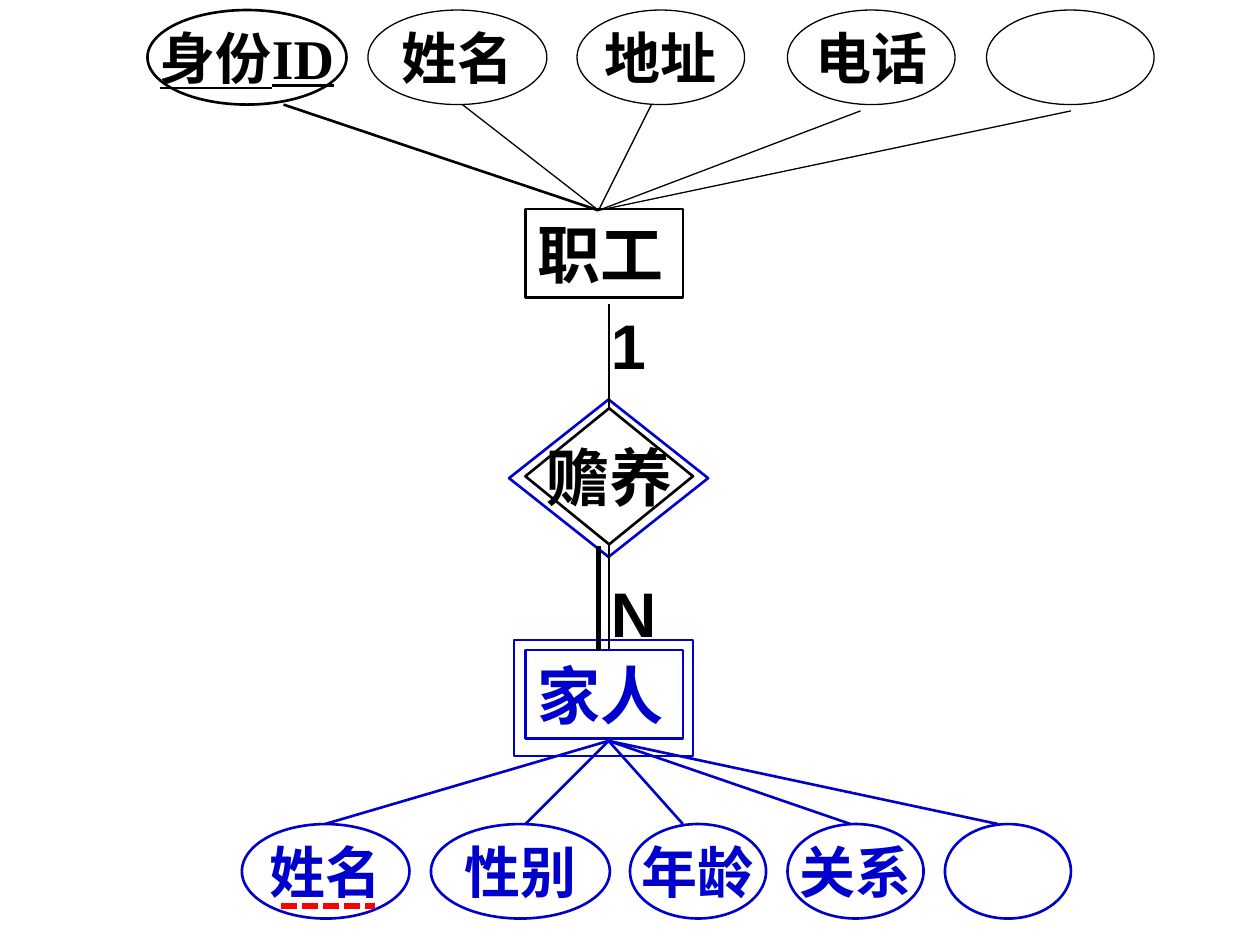
from dataclasses import dataclass

from lxml import etree
from pptx import Presentation
from pptx.dml.color import RGBColor
from pptx.enum.dml import MSO_LINE
from pptx.enum.shapes import MSO_CONNECTOR, MSO_SHAPE
from pptx.enum.text import MSO_ANCHOR, MSO_AUTO_SIZE, PP_ALIGN
from pptx.oxml.ns import qn
from pptx.util import Inches, Pt

RECT, OVAL, DIAMOND = MSO_SHAPE.RECTANGLE, MSO_SHAPE.OVAL, MSO_SHAPE.DIAMOND
STRAIGHT = MSO_CONNECTOR.STRAIGHT
DOTTED = MSO_LINE.SQUARE_DOT
TOP, MIDDLE = MSO_ANCHOR.TOP, MSO_ANCHOR.MIDDLE
LEFT, CENTER = PP_ALIGN.LEFT, PP_ALIGN.CENTER
GROW = MSO_AUTO_SIZE.SHAPE_TO_FIT_TEXT


@dataclass(frozen=True)
class Theme:
    black: RGBColor = RGBColor(0x00, 0x00, 0x00)
    blue: RGBColor = RGBColor(0x00, 0x00, 0xCC)
    red: RGBColor = RGBColor(0xFF, 0x00, 0x00)
    serif: str = "Times New Roman"
    sans: str = "Arial"
    entity_size: int = 36
    attribute_size: int = 32
    thin: float = 0.75
    normal: float = 1.5
    thick: float = 3


THEME = Theme()


def add_outline(s, kind, box, color, width=THEME.normal):
    sp = s.shapes.add_shape(kind, *(Inches(v) for v in box))
    sp.shadow.inherit = False
    sp.fill.background()
    sp.line.color.rgb = color
    sp.line.width = Pt(width)
    return sp


def add_line(s, start, end, color, width=THEME.normal):
    line = s.shapes.add_connector(STRAIGHT, *(Inches(v) for v in (*start, *end)))
    line.line.color.rgb = color
    line.line.width = Pt(width)
    etree.SubElement(line._element.spPr, qn("a:effectLst"))
    return line


def write(sp, text, color, size, font=THEME.serif, centered=False, underline=None):
    tf = sp.text_frame
    tf.word_wrap = not centered
    tf.vertical_anchor = MIDDLE if centered else TOP
    if not centered:
        tf.auto_size = GROW
    p = tf.paragraphs[0]
    p.alignment = CENTER if centered else LEFT
    r = p.add_run()
    r.text = text
    r.font.name = font
    r.font.size = Pt(size)
    r.font.bold = True
    r.font.underline = underline
    r.font.color.rgb = color


def add_entity(s, box, text, color):
    sp = add_outline(s, RECT, box, color)
    write(sp, text, color, THEME.entity_size)


def add_attributes(s, box, hub, items, color):
    """Row of ovals in the box, each joined to the hub point.

    Item: text, oval offset, oval width, line end offset (x, y), line width, key.
    """
    left, top, _, height = box
    for text, dx, width, (end_x, end_y), weight, key in items:
        add_line(s, hub, (left + end_x, top + end_y), color, weight)
        oval = add_outline(s, OVAL, (left + dx, top, width, height), color, weight)
        if text:
            write(oval, text, color, THEME.attribute_size, centered=True,
                  underline=True if key else None)


def add_cardinality(s, box, text):
    tb = s.shapes.add_textbox(*(Inches(v) for v in box))
    write(tb, text, THEME.black, THEME.entity_size, THEME.sans)


def add_relationship(s, box, text):
    """Double diamond with its links to the entities above and below."""
    left, top, width, height = box
    middle, gap = left + width / 2, 0.83
    bottom = top + height
    diamond = add_outline(s, DIAMOND, box, THEME.black)
    write(diamond, text, THEME.black, THEME.entity_size, centered=True)
    add_outline(s, DIAMOND, (left - 0.13, top - 0.07, 1.58, 1.25), THEME.blue)

    # Links, the lower one doubled for total participation
    upper = add_line(s, (middle, top - gap), (middle, top), THEME.black)
    upper.end_connect(diamond, 0)
    lower = add_line(s, (middle, bottom), (middle, bottom + gap), THEME.black)
    lower.begin_connect(diamond, 2)
    add_line(s, (4.75, bottom + gap + 0.02), (4.75, bottom + 0.01), THEME.black, THEME.thick)

    # Cardinalities
    add_cardinality(s, (4.75, top - 0.86, 0.67, 0.7), "1")
    add_cardinality(s, (4.75, bottom + 0.19, 0.67, 0.7), "N")


def add_employee(s, box):
    left, top, width, _ = box
    thin = THEME.thin
    attributes = [
        ("身份ID", 0, 1.58, (1.08, 0.75), THEME.normal, True),
        ("姓名", 1.75, 1.42, (2.5, 0.75), thin, False),
        ("地址", 3.41, 1.33, (4, 0.75), thin, False),
        ("电话", 5.08, 1.33, (5.66, 0.8), thin, False),
        ("", 6.66, 1.33, (7.33, 0.8), thin, False),
    ]
    add_attributes(s, (left, top, width, 0.75), (left + 3.58, top + 1.59),
                   attributes, THEME.black)
    add_entity(s, (left + 3, top + 1.58, 1.25, 0.7), "职工", THEME.black)


def add_family(s, box):
    left, top, width, _ = box
    row_top = top + 1.46
    attributes = [
        (text, dx, oval_width, (end_x, 0), THEME.normal, False)
        for text, dx, oval_width, end_x in [
            ("姓名", 0, 1.33, 0.66),
            ("性别", 1.5, 1.42, 2.25),
            ("年龄", 3.08, 1.08, 3.5),
            ("关系", 4.33, 1.08, 4.83),
            ("", 5.58, 1, 6),
        ]
    ]
    add_attributes(s, (left, row_top, width, 0.75), (left + 2.91, top + 0.8),
                   attributes, THEME.blue)

    # Weak entity: double rectangle
    add_entity(s, (left + 2.25, top + 0.08, 1.25, 0.7), "家人", THEME.blue)
    add_outline(s, RECT, (left + 2.16, top, 1.42, 0.92), THEME.blue)

    # Dotted underline of the partial key
    key_y = row_top + 0.65
    mark = add_line(s, (left + 0.31, key_y), (left + 1.06, key_y), THEME.red, THEME.thick)
    mark.line.dash_style = DOTTED


def main():
    prs = Presentation()
    prs.slide_width, prs.slide_height = Inches(10), Inches(7.5)
    s = prs.slides.add_slide(prs.slide_layouts[6])
    add_employee(s, (1.17, 0.08, 7.99, 2.28))
    add_family(s, (1.92, 5.08, 6.58, 2.21))
    add_relationship(s, (4.17, 3.24, 1.33, 1.08), "赡养")
    prs.save("out.pptx")


if __name__ == "__main__":
    main()
